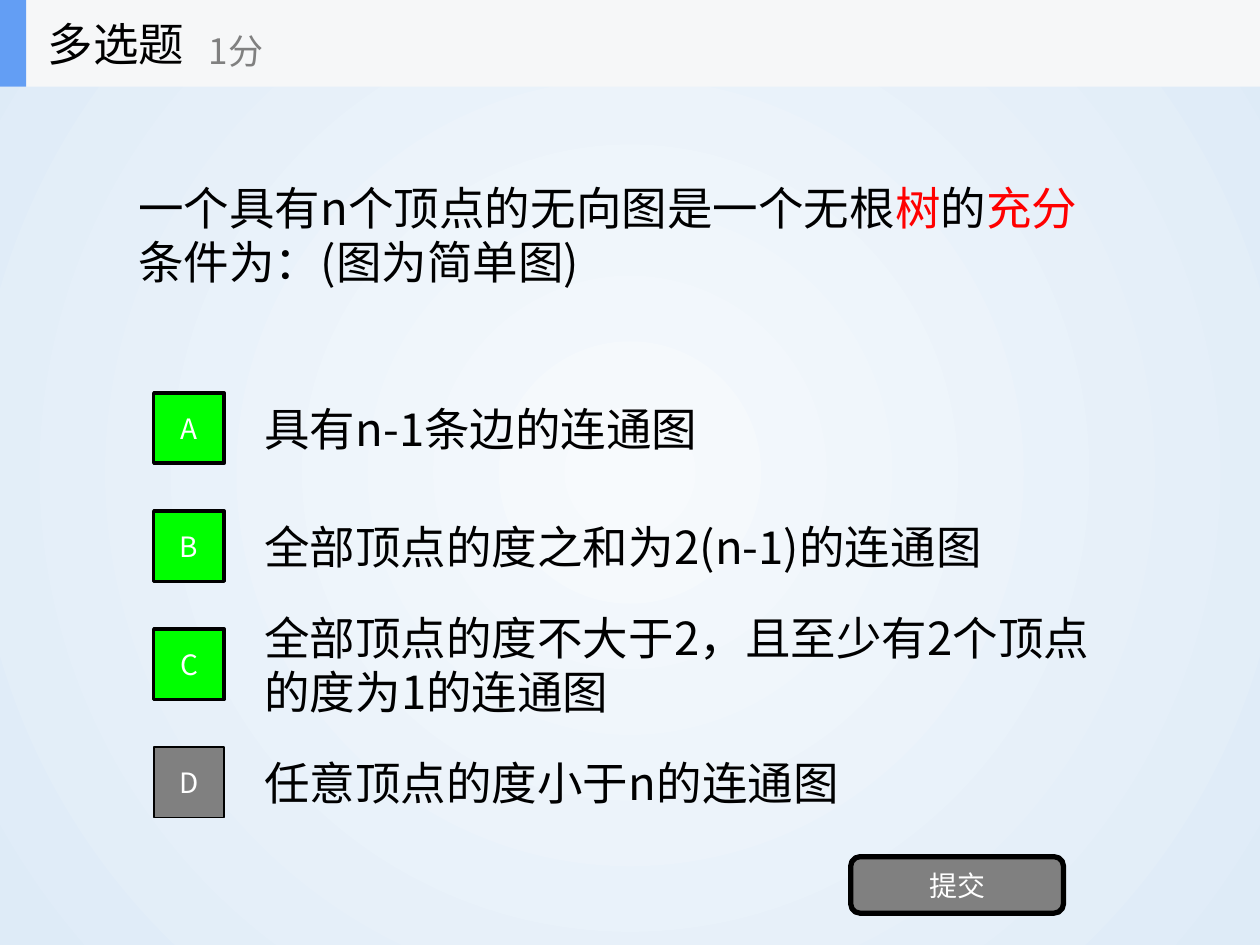
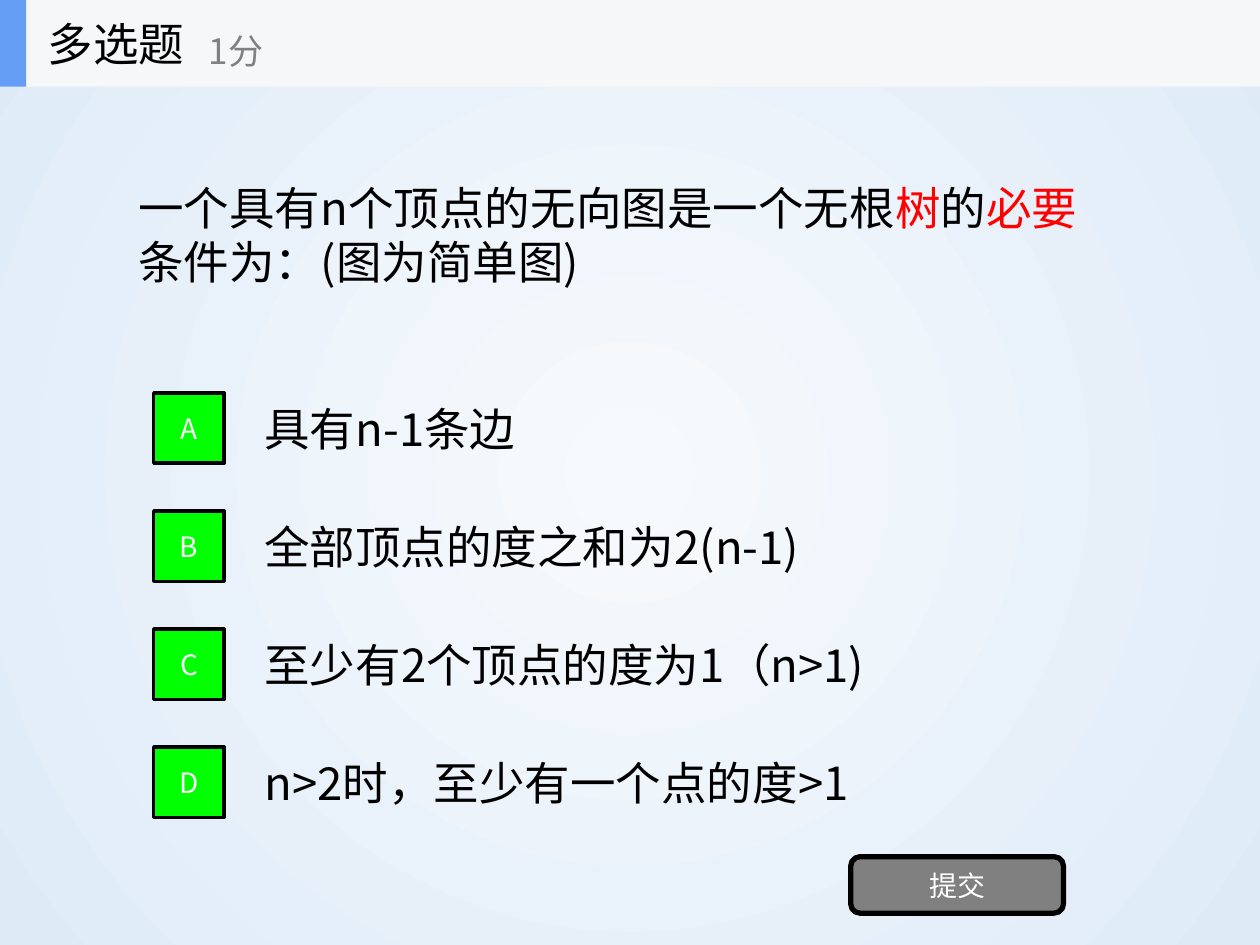
from dataclasses import dataclass
from typing import NamedTuple

from lxml import etree
from pptx import Presentation
from pptx.dml.color import RGBColor
from pptx.enum.shapes import MSO_SHAPE
from pptx.enum.text import MSO_ANCHOR, PP_ALIGN
from pptx.oxml.ns import qn
from pptx.util import Cm, Pt

RECT, ROUND = MSO_SHAPE.RECTANGLE, MSO_SHAPE.ROUNDED_RECTANGLE
MIDDLE = MSO_ANCHOR.MIDDLE
LEFT, CENTER = PP_ALIGN.LEFT, PP_ALIGN.CENTER


@dataclass(frozen=True)
class Theme:
    """Colours, font and type sizes of the quiz."""
    font: str = "Noto Sans CJK SC"
    glow: str = "F7FAFD"
    edge: str = "DEEBF7"
    band: str = "F6F7F8"
    accent: str = "639EF4"
    ink: str = "000000"
    key: str = "FF0000"
    muted: str = "808080"
    right: str = "00FF00"
    white: str = "FFFFFF"
    body: int = 26
    score: int = 20
    label: int = 16


class Box(NamedTuple):
    """Left, top, width and height in centimetres."""
    left: float
    top: float
    width: float
    height: float

    def lengths(self) -> list:
        """Return the four lengths in drawing units."""
        return [Cm(v) for v in self]


class Run(NamedTuple):
    """A stretch of text in one style."""
    text: str
    color: str
    size: int


class Option(NamedTuple):
    """An answer and whether it is marked as chosen."""
    text: str
    chosen: bool = True


class Question(NamedTuple):
    """The kind of condition asked for and its answers."""
    condition: str
    options: list[Option]


T = Theme()
SLIDE_W, SLIDE_H = 25.4, 19.05
BAND_H = 1.75
STEM = Box(2.54, BAND_H, 20.32, 5.94)
FIRST_CENTER, PITCH = 8.63, 2.38
ANSWER_H, BADGE = 1.78, 1.42
SUBMIT = Box(17.15, 17.27, 4.29, 1.14)

QUESTIONS = [
    Question("充分", [
        Option("具有n-1条边的连通图"),
        Option("全部顶点的度之和为2(n-1)的连通图"),
        Option("全部顶点的度不大于2，且至少有2个顶点的度为1的连通图"),
        Option("任意顶点的度小于n的连通图", chosen=False),
    ]),
    Question("必要", [
        Option("具有n-1条边"),
        Option("全部顶点的度之和为2(n-1)"),
        Option("至少有2个顶点的度为1（n>1)"),
        Option("n>2时，至少有一个点的度>1"),
    ]),
]


def write(shape, runs: list[Run], align=LEFT, wrap: bool = True) -> None:
    """Write runs into a shape, vertically centred."""
    tf = shape.text_frame
    tf.word_wrap = wrap
    tf.vertical_anchor = MIDDLE
    p = tf.paragraphs[0]
    p.alignment = align
    for run in runs:
        r = p.add_run()
        r.text = run.text
        r.font.size = Pt(run.size)
        r.font.name = T.font
        r.font.color.rgb = RGBColor.from_string(run.color)
        ea = etree.SubElement(r.font._element, qn("a:ea"))
        ea.set("typeface", T.font)


def add_text(shapes, box: Box, runs: list[Run], wrap: bool = True) -> None:
    """Add a text box."""
    write(shapes.add_textbox(*box.lengths()), runs, wrap=wrap)


def add_block(shapes, box: Box, fill: str, line: float = 0, kind=RECT, label: str = "") -> None:
    """Add a filled shape with an optional outline and label."""
    sp = shapes.add_shape(kind, *box.lengths())
    sp.shadow.inherit = False
    sp.fill.solid()
    sp.fill.fore_color.rgb = RGBColor.from_string(fill)
    if line:
        sp.line.color.rgb = RGBColor.from_string(T.ink)
        sp.line.width = Pt(line)
    else:
        sp.line.fill.background()
    if label:
        write(sp, [Run(label, T.white, T.label)], CENTER)


def paint_background(s) -> None:
    """Fill the slide with a circular gradient from its centre."""
    fill = s.background.fill
    fill.gradient()
    for stop, color in zip(fill.gradient_stops, (T.glow, T.edge)):
        stop.color.rgb = RGBColor.from_string(color)
    lin = s.element.find(".//" + qn("a:lin"))
    grad = lin.getparent()
    grad.remove(lin)
    circle = etree.SubElement(grad, qn("a:path"), {"path": "circle"})
    etree.SubElement(circle, qn("a:fillToRect"), dict.fromkeys("ltrb", "50000"))


def add_header(s) -> None:
    """Add the grouped band with question type and score."""
    shapes = s.shapes.add_group_shape().shapes
    add_block(shapes, Box(0, 0, SLIDE_W, BAND_H), T.band)
    add_block(shapes, Box(0, 0, 0.53, BAND_H), T.accent)
    add_text(shapes, Box(0.71, 0, 5.28, BAND_H), [Run("多选题", T.ink, T.body)], wrap=False)
    add_text(shapes, Box(3.96, 0.3, 6.35, 1.42), [Run("1分", T.muted, T.score)], wrap=False)


def add_options(s, options: list[Option]) -> None:
    """Add the answers and their lettered badges."""
    centers = [FIRST_CENTER + i * PITCH for i in range(len(options))]
    for option, y in zip(options, centers):
        add_text(s.shapes, Box(5.08, y - ANSWER_H / 2, 17.78, ANSWER_H),
                 [Run(option.text, T.ink, T.body)])
    for letter, option, y in zip("ABCD", options, centers):
        fill, line = (T.right, 2) if option.chosen else (T.muted, 1)
        add_block(s.shapes, Box(3.1, y - BADGE / 2, BADGE, BADGE), fill, line, label=letter)


def add_question(prs, question: Question) -> None:
    """Add one question slide."""
    s = prs.slides.add_slide(prs.slide_layouts[6])
    paint_background(s)
    stem = [("一个具有n个顶点的无向图是一个无根", T.ink), ("树", T.key), ("的", T.ink),
            (question.condition, T.key), ("条件为：(图为简单图)", T.ink)]
    add_text(s.shapes, STEM, [Run(text, color, T.body) for text, color in stem])
    add_options(s, question.options)
    add_block(s.shapes, SUBMIT, T.muted, 3, ROUND, "提交")
    add_header(s)


def main() -> None:
    """Build and save the quiz."""
    prs = Presentation()
    prs.slide_width, prs.slide_height = Cm(SLIDE_W), Cm(SLIDE_H)
    for question in QUESTIONS:
        add_question(prs, question)
    prs.save("out.pptx")


if __name__ == "__main__":
    main()
